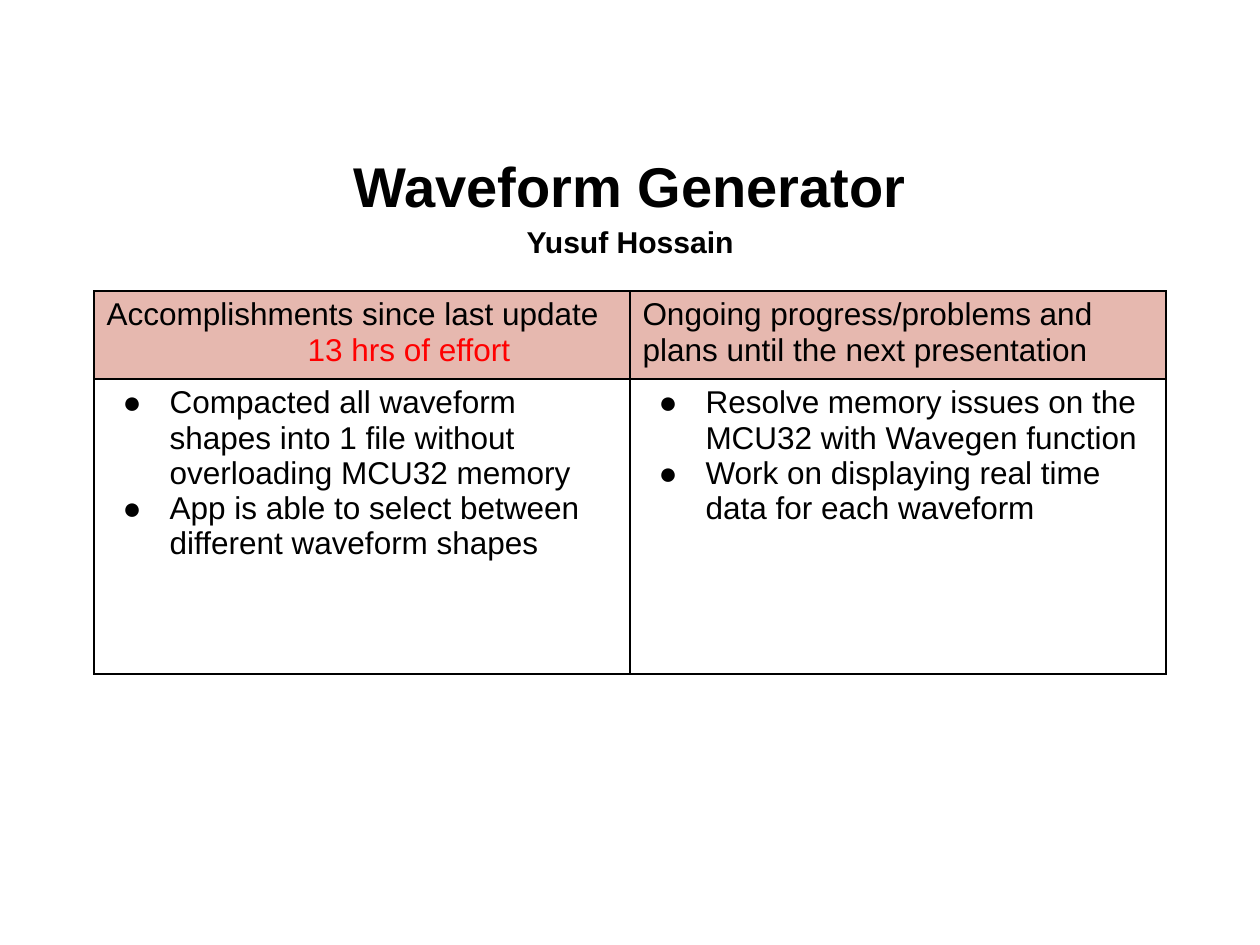
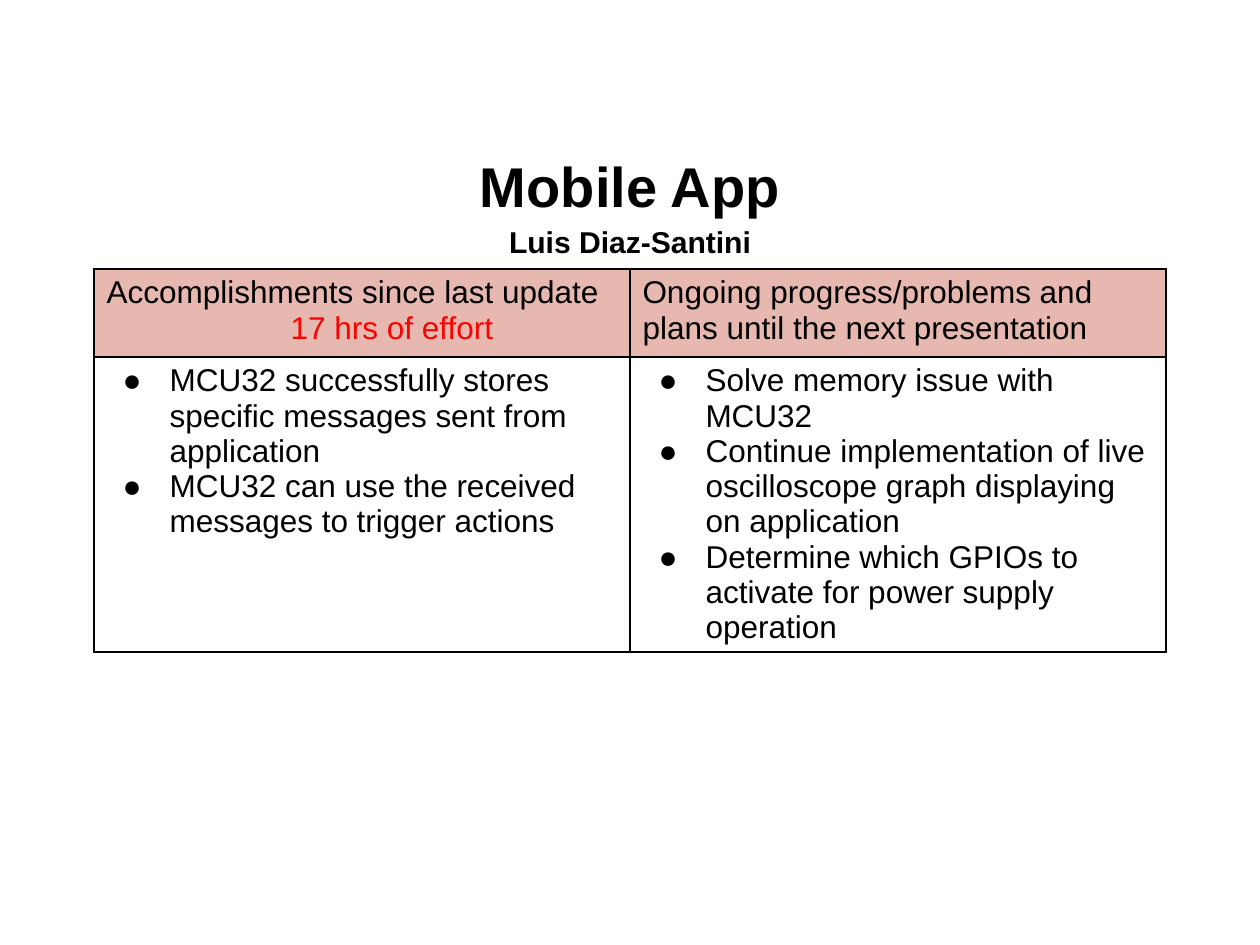
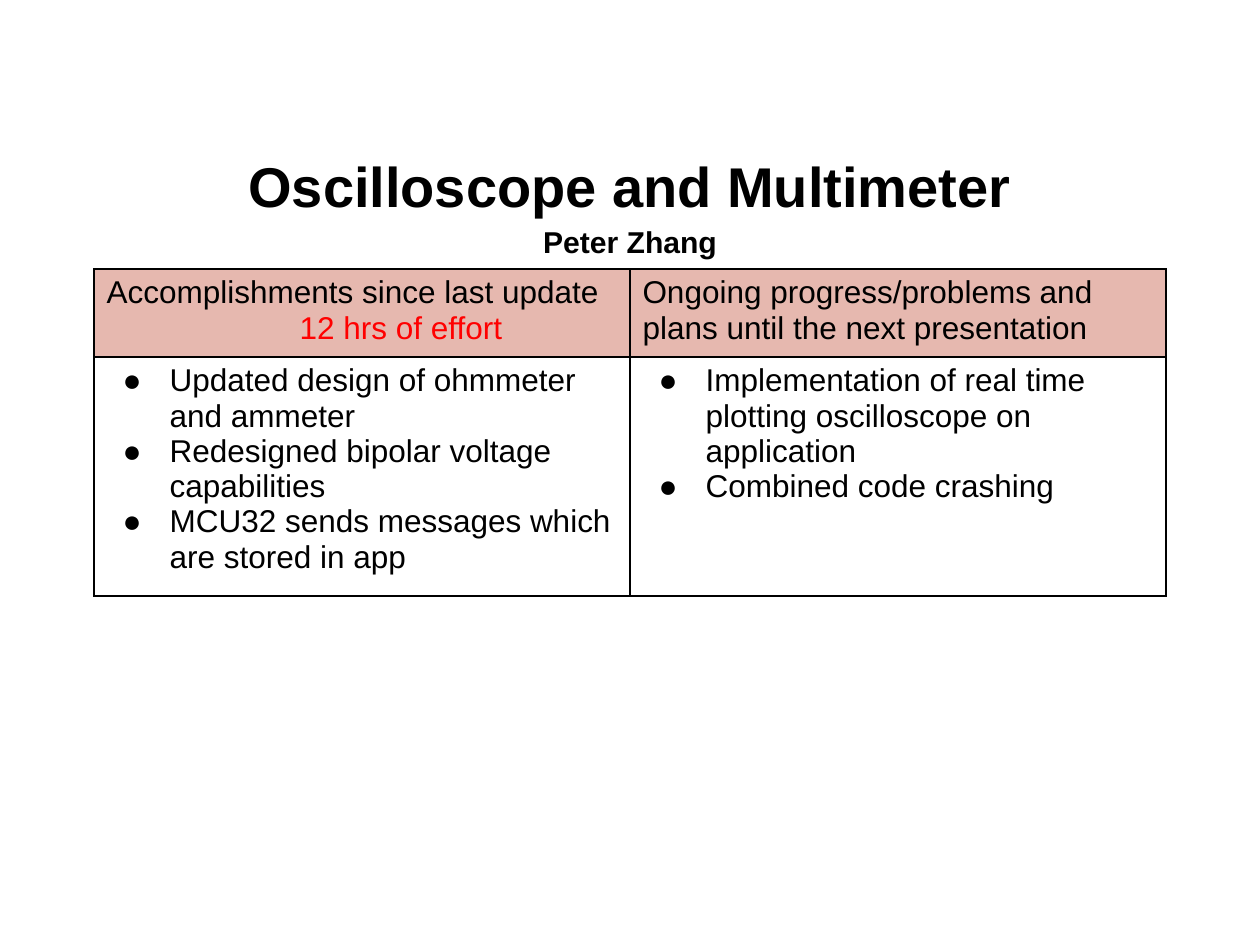
from pptx import Presentation
from pptx import util as u
from pptx.dml.color import RGBColor
from pptx.enum import text
from pptx.oxml.ns import qn
from lxml import etree

SCALE = 914400 // 126  # EMU per px
FONT = "Arial"
COLORS = {"ink": "000000", "effort": "FF0000", "header": "E6B8AF"}
TABLE_LEFT, COLUMN_W, HEADER_H = 94, 536, 88
BULLET_LEFT, BULLET_HANG = 63, 47
PLANS_HEADING = "Ongoing progress/problems and plans until the next presentation"

UPDATES = [
    {"topic": "Waveform Generator", "author": "Yusuf Hossain",
     "effort": "13 hrs of effort", "effort_indent": 201,
     "table_top": 291, "body_h": 295,
     "done": ["Compacted all waveform shapes into 1 file without overloading MCU32 memory",
              "App is able to select between different waveform shapes"],
     "plans": ["Resolve memory issues on the MCU32 with Wavegen function",
               "Work on displaying real time data for each waveform"]},
    {"topic": "Mobile App", "author": "Luis Diaz-Santini",
     "effort": "17 hrs of effort", "effort_indent": 184,
     "table_top": 269, "body_h": 295,
     "done": ["MCU32 successfully stores specific messages sent from application",
              "MCU32 can use the received messages to trigger actions"],
     "plans": ["Solve memory issue with MCU32",
               "Continue implementation of live oscilloscope graph displaying on application",
               "Determine which GPIOs to activate for power supply operation"]},
    {"topic": "Oscilloscope and Multimeter", "author": "Peter Zhang",
     "effort": "12 hrs of effort", "effort_indent": 193,
     "table_top": 269, "body_h": 239,
     "done": ["Updated design of ohmmeter and ammeter",
              "Redesigned bipolar voltage capabilities",
              "MCU32 sends messages which are stored in app"],
     "plans": ["Implementation of real time plotting oscilloscope on application",
               "Combined code crashing"]},
]


def px(n):
    return u.Emu(n * SCALE)


def style_runs(p, size, color="ink", bold=False):
    for r in p.runs:
        r.font.name = FONT
        r.font.size = u.Pt(size)
        r.font.bold = bold
        r.font.color.rgb = RGBColor.from_string(COLORS[color])


def indent(p, left, first=0):
    pPr = p._p.get_or_add_pPr()
    pPr.set("marL", str(px(left)))
    pPr.set("indent", str(px(first)))
    return pPr


def add_bullet(p):
    pPr = indent(p, BULLET_LEFT, -BULLET_HANG)
    color = etree.SubElement(pPr, qn("a:buClr"))
    etree.SubElement(color, qn("a:srgbClr"), val=COLORS["ink"])
    etree.SubElement(pPr, qn("a:buFont"), typeface=FONT)
    etree.SubElement(pPr, qn("a:buChar"), char="●")


def set_borders(cell):
    tcPr = cell._tc.get_or_add_tcPr()
    for side in ("lnL", "lnR", "lnT", "lnB"):
        ln = etree.SubElement(tcPr, qn(f"a:{side}"), w=str(u.Pt(1)))
        fill = etree.SubElement(ln, qn("a:solidFill"))
        etree.SubElement(fill, qn("a:srgbClr"), val=COLORS["ink"])


def fill_cell(cell, lines, bullets=False):
    """Write one paragraph per line in a bordered cell."""
    set_borders(cell)
    cell.fill.background()
    tf = cell.text_frame
    tf.text = "\n".join(lines)
    for p in tf.paragraphs:
        if bullets:
            add_bullet(p)
        style_runs(p, 18)


def add_title(s, topic, author):
    title = s.shapes.title
    title.left, title.top, title.width, title.height = map(px, (63, 145, 1134, 111))
    tf = title.text_frame
    tf.auto_size = text.MSO_AUTO_SIZE.NONE
    tf.vertical_anchor = text.MSO_ANCHOR.MIDDLE
    tf.text = f"{topic}\n{author}"
    for p, size in zip(tf.paragraphs, (32, 17.2)):
        p.alignment = text.PP_ALIGN.CENTER
        p.line_spacing = 1.15
        style_runs(p, size, bold=True)


def add_update_table(s, update):
    body_h = update["body_h"]
    frame = s.shapes.add_table(2, 2, px(TABLE_LEFT), px(update["table_top"]),
                               px(2 * COLUMN_W), px(HEADER_H + body_h))
    table = frame.table
    table.first_row = table.horz_banding = False
    for row, height in zip(table.rows, (HEADER_H, body_h)):
        row.height = px(height)

    headings = (["Accomplishments since last update", update["effort"]], [PLANS_HEADING])
    for col, (heading, items) in enumerate(zip(headings, (update["done"], update["plans"]))):
        header = table.cell(0, col)
        fill_cell(header, heading)
        header.fill.solid()
        header.fill.fore_color.rgb = RGBColor.from_string(COLORS["header"])
        fill_cell(table.cell(1, col), items, bullets=True)

    effort = table.cell(0, 0).text_frame.paragraphs[1]
    indent(effort, update["effort_indent"])
    style_runs(effort, 18, "effort")


def main():
    prs = Presentation()
    prs.slide_width, prs.slide_height = px(1260), px(945)
    for update in UPDATES:
        s = prs.slides.add_slide(prs.slide_layouts[5])
        add_title(s, update["topic"], update["author"])
        add_update_table(s, update)
    prs.save("out.pptx")


if __name__ == "__main__":
    main()
